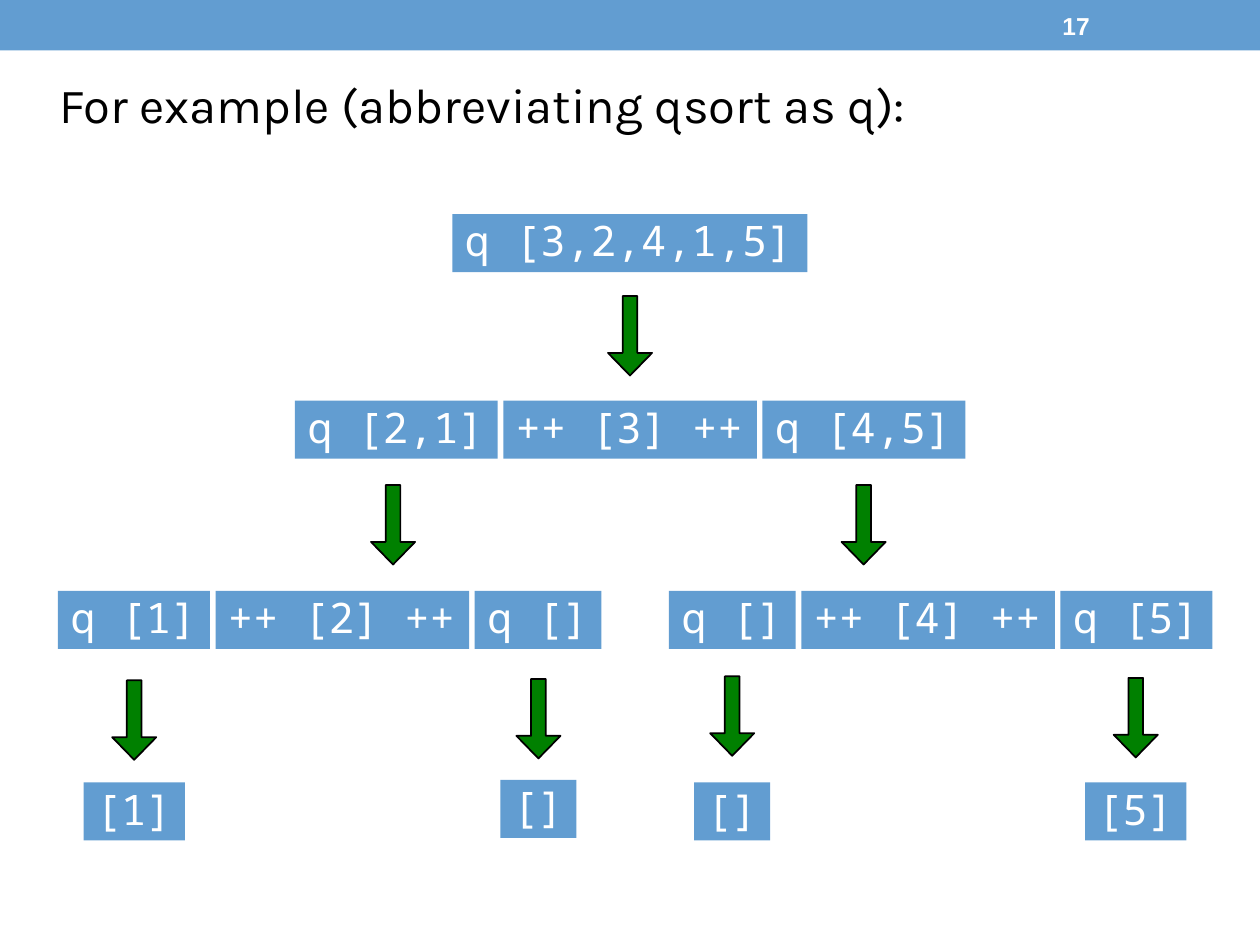
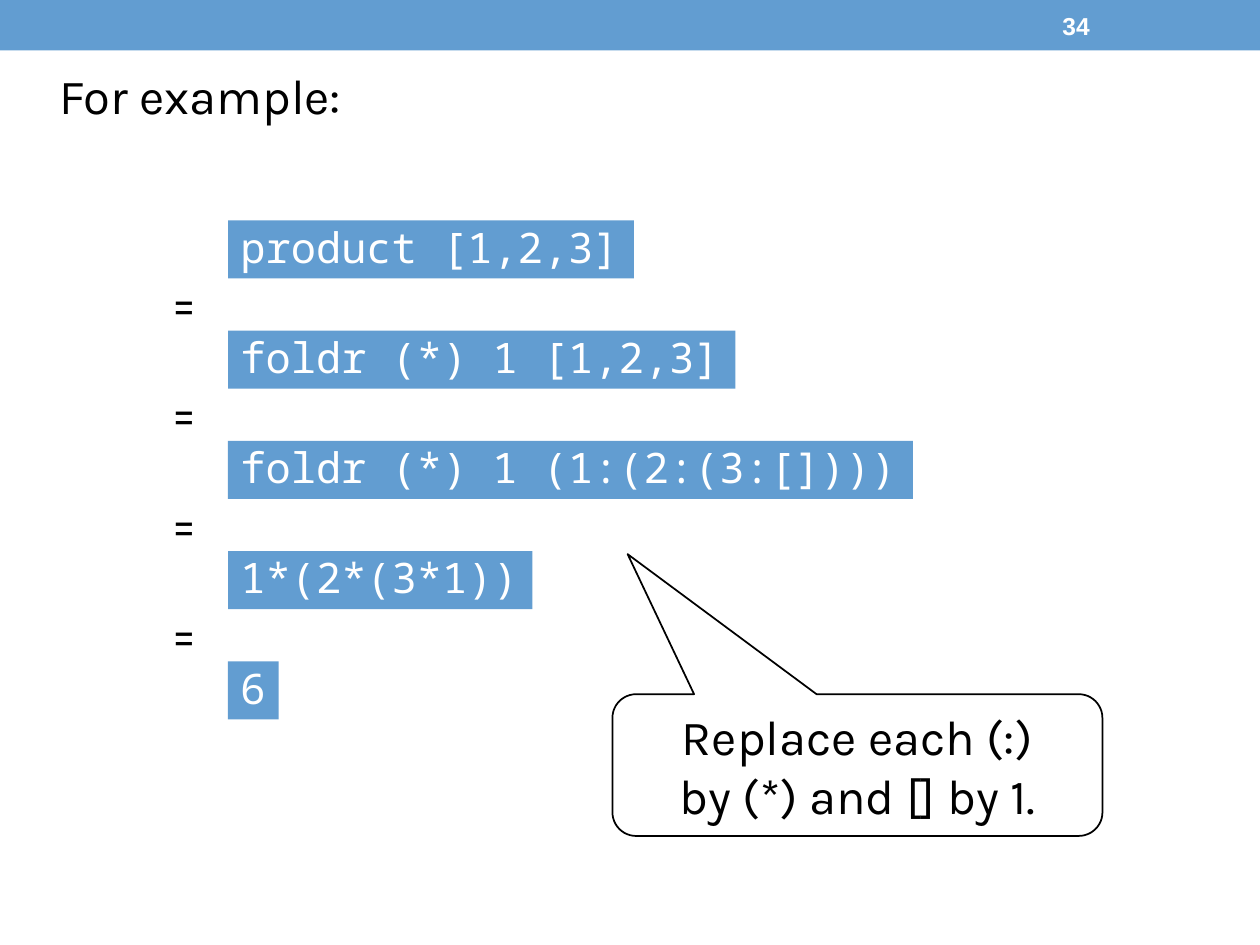
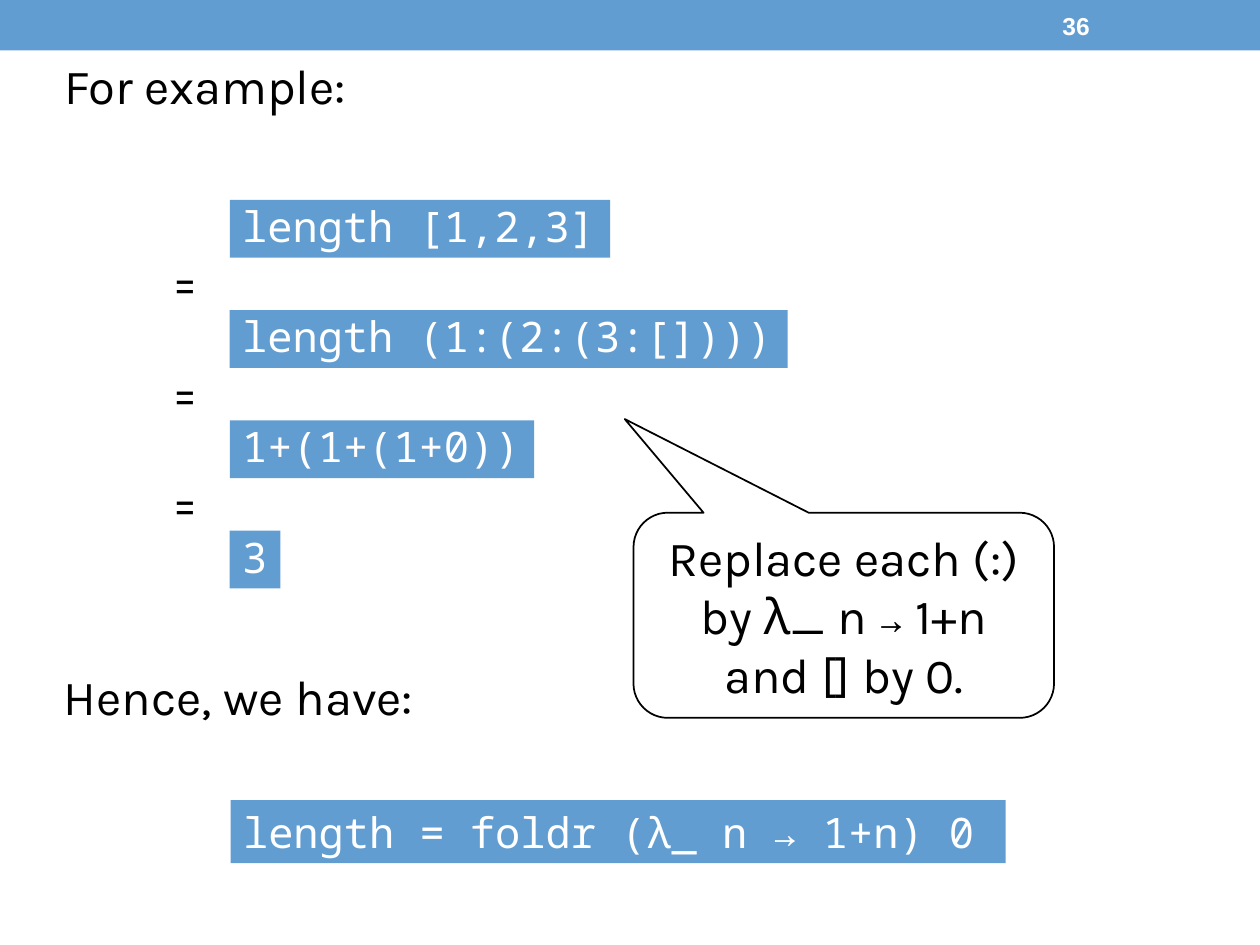
from pptx import Presentation
from pptx.dml.color import RGBColor
from pptx.enum.shapes import MSO_SHAPE
from pptx.enum.text import MSO_ANCHOR, PP_ALIGN
from pptx.util import Pt

RECT, ARROW = MSO_SHAPE.RECTANGLE, MSO_SHAPE.DOWN_ARROW
BUBBLE = MSO_SHAPE.ROUNDED_RECTANGULAR_CALLOUT
MIDDLE, LEFT, CENTER = MSO_ANCHOR.MIDDLE, PP_ALIGN.LEFT, PP_ALIGN.CENTER

BLUE = RGBColor(0x62, 0x9D, 0xD1)
GREEN = RGBColor(0x00, 0x80, 0x00)
BLACK = RGBColor(0, 0, 0)
WHITE = RGBColor(255, 255, 255)

# Fonts as (name, size, colour, bold)
PROSE = ("Karla", 28, BLACK, False)
CODE = ("Noto Sans Mono", 24, WHITE, False)
SIGN = ("Noto Sans Mono", 24, BLACK, False)
COUNT = ("Arial", 14, WHITE, True)

CHAR, PAD, GAP = 14.5, 14.4, 3.2  # code character, both insets, box gap
CODE_H, LINE_H, STEP = 33.1, 41, 63
ARROW_W, ARROW_H = 25.2, 45.4

# Content: the call tree
ROWS = [  # left, top, boxes
    (258.5, 122.4, ["q [3,2,4,1,5]"]),
    (168.5, 229, ["q [2,1]", "++ [3] ++", "q [4,5]"]),
    (33.1, 337.7, ["q [1]", "++ [2] ++", "q []"]),
    (382.3, 337.7, ["q []", "++ [4] ++", "q [5]"]),
]
CALLS = [(360, 169.2), (224.6, 277.2), (493.5, 277.2)]  # arrow middle, top
LEAVES = [  # middle, arrow top, box top, result
    (76.7, 388.8, 447.1, "[1]"),
    (307.7, 388, 445.7, "[]"),
    (418.4, 386.5, 447.1, "[]"),
    (649, 387.4, 447.1, "[5]"),
]

# Content: the step by step sums
PRODUCT = ["product [1,2,3]", "foldr (*) 1 [1,2,3]",
           "foldr (*) 1 (1:(2:(3:[])))", "1*(2*(3*1))", "6"]
LENGTH = ["length [1,2,3]", "length (1:(2:(3:[])))", "1+(1+(1+0))", "3"]
TIMES_HINT = [[("Replace each (:)", PROSE)], [("by (*) and [] by 1.", PROSE)]]
PLUS_HINT = [[("Replace each (:) by λ_ n ", PROSE), ("→", SIGN),
              (" 1+n and [] by 0.", PROSE)]]


def write(shape, paras, align=LEFT, space=None):
    """Fill a shape with paragraphs, each a list of (text, font)."""
    frame = shape.text_frame
    frame.word_wrap = True
    frame.vertical_anchor = MIDDLE
    for i, runs in enumerate(paras):
        para = frame.add_paragraph() if i else frame.paragraphs[0]
        para.alignment = align
        if space:
            para.line_spacing = space
        for text, (name, size, color, bold) in runs:
            run = para.add_run()
            run.text = text
            font = run.font
            font.name, font.size, font.bold = name, Pt(size), bold
            font.color.rgb = color


def label(slide, box, text, font=PROSE, align=LEFT):
    write(slide.shapes.add_textbox(*map(Pt, box)), [[(text, font)]], align)


def draw(slide, kind, box, fill=None, line=None, adjust=()):
    shape = slide.shapes.add_shape(kind, *map(Pt, box))
    shape.shadow.inherit = False
    for i, value in enumerate(adjust):
        shape.adjustments[i] = value
    if fill is None:
        shape.fill.background()
    else:
        shape.fill.solid()
        shape.fill.fore_color.rgb = fill
    if line is None:
        shape.line.fill.background()
    else:
        shape.line.color.rgb = line
        shape.line.width = Pt(1)
    return shape


def span(text):
    return len(text) * CHAR + PAD


def code(slide, left, top, text, width=None, high=CODE_H, space=0.9):
    box = (left, top, width or span(text), high)
    shape = draw(slide, RECT, box, BLUE)
    shape.text_frame.margin_right = 0
    write(shape, [[(text, CODE)]], space=space)


def arrow(slide, mid, top):
    box = (mid - ARROW_W / 2, top, ARROW_W, ARROW_H)
    draw(slide, ARROW, box, GREEN, BLACK, (0.333, 0.512))


def steps(slide, left, top, terms):
    """Stack code boxes with an equals sign before each but the first."""
    for i, term in enumerate(terms):
        y = top + i * STEP
        code(slide, left, y, term)
        if i:
            label(slide, (left - 42.5, y - 37.5, 34.6, LINE_H), "=",
                  align=CENTER)


def hint(slide, box, adjust, paras):
    write(draw(slide, BUBBLE, box, None, BLACK, adjust), paras, CENTER)


def page(deck, number, title, left, top):
    slide = deck.slides.add_slide(deck.slide_layouts[6])
    draw(slide, RECT, (0, 0, 720, 28.8), BLUE)
    label(slide, (600, 1.5, 84, 26), number, COUNT)
    label(slide, (left, top, 650, LINE_H), title)
    return slide


def main():
    deck = Presentation()
    deck.slide_width, deck.slide_height = Pt(720), Pt(540)

    # Call tree
    slide = page(deck, "17", "For example (abbreviating qsort as q):",
                 26.8, 39)
    for left, top, parts in ROWS:
        for part in parts:
            code(slide, left, top, part)
            left += span(part) + GAP
    for mid, top in CALLS:
        arrow(slide, mid, top)
    for mid, tip, top, text in LEAVES:
        arrow(slide, mid, tip)
        code(slide, mid - span(text) / 2, top, text)

    # Product as a fold
    slide = page(deck, "34", "For example:", 26.8, 33.8)
    steps(slide, 130.3, 126, PRODUCT)
    hint(slide, (350, 396.7, 280, 81), (-0.469, -1.488, 0.167), TIMES_HINT)

    # Length as a fold
    slide = page(deck, "36", "For example:", 29.5, 28.1)
    steps(slide, 131.3, 114.2, LENGTH)
    label(slide, (29.5, 377.3, 225, LINE_H), "Hence, we have:")
    code(slide, 131.8, 457.2, "length = foldr (λ_ n → 1+n) 0", 442.8, 36, 1.0)
    hint(slide, (362, 293, 240.3, 117.2), (-0.521, -0.957, 0.167), PLUS_HINT)

    deck.save("out.pptx")


if __name__ == "__main__":
    main()
